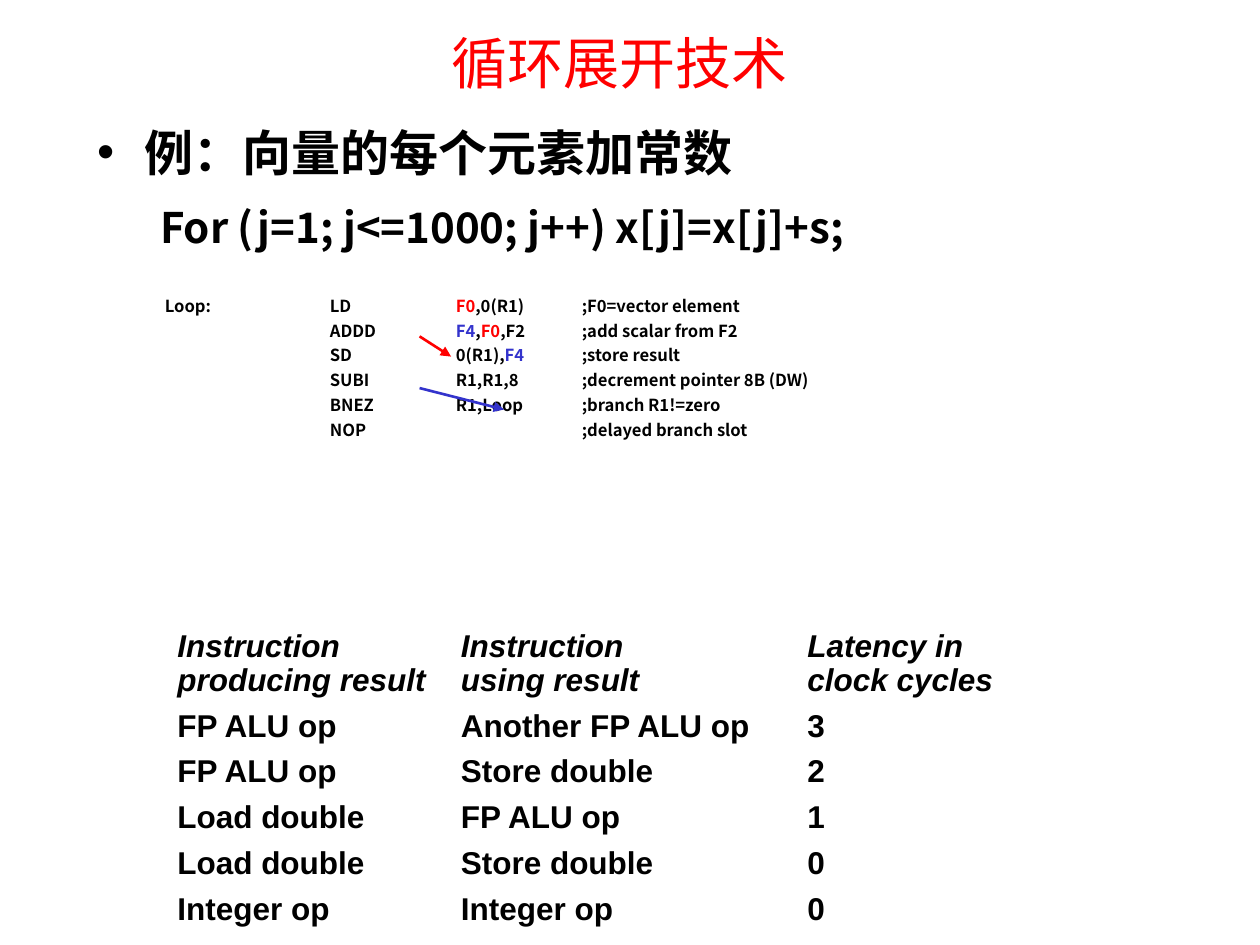
"""Build the loop unrolling slide with its code listing and latency list."""
import pptx
import pptx.dml.color
import pptx.enum.shapes
import pptx.enum.text
import pptx.util
from lxml import etree
from pptx.oxml.ns import qn
from pptx.util import Inches

THEME = {
    "black": "000000", "red": "FF0000", "blue": "3333CC",
    "latin": "Arial", "serif": "Times New Roman", "cjk": "Noto Sans CJK SC",
    "title": 32, "example": 28, "statement": 24, "latency": 18, "code": 9.5,
}


def style(run, font, size, colour="black", bold=True, italic=False):
    run.font.name = THEME[font]
    run.font.size = pptx.util.Pt(THEME[size])
    run.font.bold = bold
    run.font.italic = italic
    run.font.color.rgb = pptx.dml.color.RGBColor.from_string(THEME[colour])
    east_asian = etree.Element(qn("a:ea"), typeface=THEME["cjk"])
    run.font._element.find(qn("a:latin")).addnext(east_asian)


def set_layout(paragraph, left=0, hanging=0, bullet=None, tabs=()):
    properties = paragraph._p.get_or_add_pPr()
    if tabs:
        stops = etree.SubElement(properties, qn("a:tabLst"))
        for stop in tabs:
            etree.SubElement(stops, qn("a:tab"), pos=str(Inches(stop)), algn="l")
        return
    properties.set("marL", str(Inches(left)))
    properties.set("indent", str(-Inches(hanging)))
    if bullet:
        etree.SubElement(properties, qn("a:buChar"), char=bullet)
    else:
        etree.SubElement(properties, qn("a:buNone"))


presentation = pptx.Presentation()
presentation.slide_width = Inches(10)
presentation.slide_height = Inches(7.5)
slide = presentation.slides.add_slide(presentation.slide_layouts[1])

title = slide.shapes.title
example = slide.placeholders[1]
listing = slide.shapes.add_textbox(Inches(1.21), Inches(2.33), Inches(7.62), Inches(2.42))
latencies = slide.shapes.add_textbox(Inches(1.31), Inches(4.95), Inches(8.03), Inches(2.46))
title.left, title.top, title.width, title.height = map(Inches, (0.67, 0.16, 8.5, 0.67))
example.left, example.top, example.width, example.height = map(Inches, (0.67, 0.92, 8.5, 1.17))
for part in (title, example, listing, latencies):
    part.text_frame.word_wrap = True
    part.text_frame.auto_size = pptx.enum.text.MSO_AUTO_SIZE.NONE

title.text_frame.text = "循环展开技术"
title.text_frame.vertical_anchor = pptx.enum.text.MSO_ANCHOR.MIDDLE
heading = title.text_frame.paragraphs[0]
heading.alignment = pptx.enum.text.PP_ALIGN.CENTER
style(heading.runs[0], "latin", "title", "red", bold=False)

example.text_frame.text = "例：向量的每个元素加常数"
topic = example.text_frame.paragraphs[0]
set_layout(topic, 0.38, 0.38, "•")
topic.space_before = pptx.util.Pt(0)
style(topic.runs[0], "serif", "example")
statement = example.text_frame.add_paragraph()
statement.text = "For (j=1; j<=1000; j++) x[j]=x[j]+s;"
statement.level = 1
set_layout(statement, 0.81, 0.31)
statement.line_spacing = 0.9
statement.space_before = pptx.util.Pt(15)
style(statement.runs[0], "cjk", "statement")

instructions = [
    [("Loop:\tLD\t", "black"), ("F0", "red"), (",0(R1)\t;F0=vector element", "black")],
    [("\tADDD\t", "black"), ("F4", "blue"), (",", "black"), ("F0", "red"),
     (",F2\t;add scalar from F2", "black")],
    [("\tSD\t0(R1),", "black"), ("F4", "blue"), ("\t;store result", "black")],
    [("\tSUBI\tR1,R1,8\t;decrement pointer 8B (DW)", "black")],
    [("\tBNEZ\tR1,Loop\t;branch R1!=zero", "black")],
    [("\tNOP\t\t;delayed branch slot", "black")],
]
for number, pieces in enumerate(instructions):
    frame = listing.text_frame
    line = frame.add_paragraph() if number else frame.paragraphs[0]
    set_layout(line, tabs=(1.31, 2.31, 3.31))
    line.line_spacing = 0.8
    line.space_before = pptx.util.Pt(5 if number else 0)
    for text, colour in pieces:
        piece = line.add_run()
        piece.text = text
        style(piece, "cjk", "code", colour)

latency_rows = [
    "Instruction\tInstruction\tLatency in\nproducing result\tusing result\tclock cycles",
    "FP ALU op\tAnother FP ALU op\t3",
    "FP ALU op\tStore double\t2",
    "Load double\tFP ALU op\t1",
    "Load double\tStore double\t0",
    "Integer op\tInteger op\t0",
]
for number, text in enumerate(latency_rows):
    frame = latencies.text_frame
    row = frame.add_paragraph() if number else frame.paragraphs[0]
    row.text = text
    set_layout(row, tabs=(2.25, 5))
    row.line_spacing = 0.9
    row.space_before = pptx.util.Pt(6.8 if number else 0)
    for run in row.runs:
        style(run, "latin", "latency", italic=number == 0)

dependences = [
    ((3.33, 2.67), (3.58, 2.83), "red"),
    ((3.33, 3.08), (4, 3.25), "blue"),
]
for start, end, colour in dependences:
    dependence = slide.shapes.add_connector(
        pptx.enum.shapes.MSO_CONNECTOR.STRAIGHT, *map(Inches, start + end))
    dependence.line.color.rgb = pptx.dml.color.RGBColor.from_string(THEME[colour])
    dependence.line.width = pptx.util.Pt(1.5)
    etree.SubElement(dependence.line._get_or_add_ln(), qn("a:tailEnd"), type="triangle")
    etree.SubElement(dependence._element.spPr, qn("a:effectLst"))

presentation.save("out.pptx")
